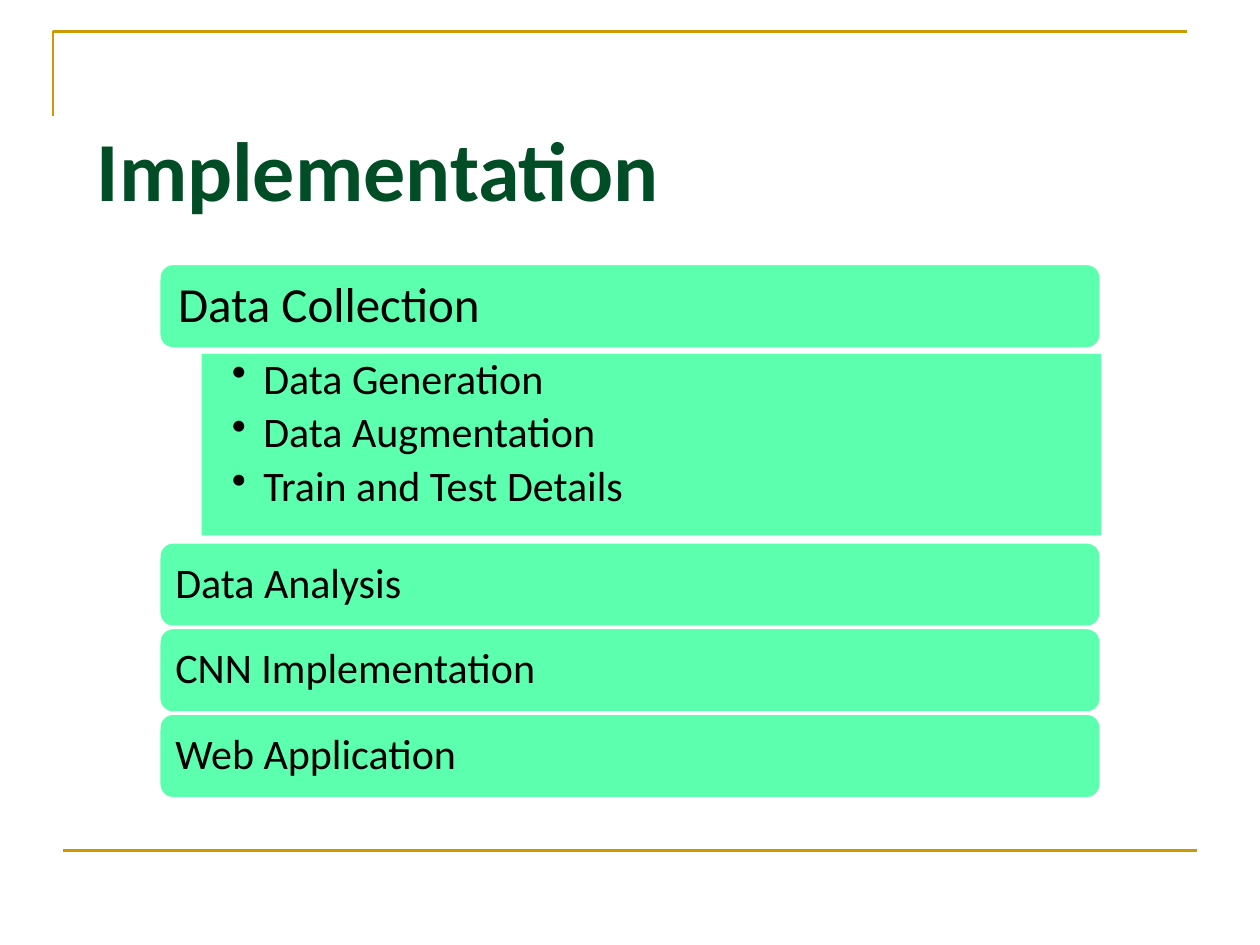
from dataclasses import dataclass

from lxml import etree
from pptx import Presentation
from pptx.dml.color import RGBColor
from pptx.enum import shapes, text
from pptx.oxml.ns import qn
from pptx.util import Inches, Pt


@dataclass(frozen=True)
class Theme:
    font: str = "Calibri"
    title_color: RGBColor = RGBColor(0x00, 0x4D, 0x26)
    body_color: RGBColor = RGBColor(0x00, 0x00, 0x00)
    panel: RGBColor = RGBColor(0x5C, 0xFF, 0xAD)
    edge: RGBColor = RGBColor(0xFF, 0xFF, 0xFF)
    rule: RGBColor = RGBColor(0xCC, 0x99, 0x00)
    title_size: int = 48
    lead_size: int = 28
    body_size: int = 24
    rule_width: float = 1.5
    edge_width: float = 2


@dataclass(frozen=True)
class Step:
    label: str
    top: float
    size: int
    inset: float


THEME = Theme()
BAR_LEFT, BAR_WIDTH, BAR_HEIGHT = 1.26, 7.48, 0.68
LATER_TOP = 4.3

STEPS = [Step("Data Collection", 2.09, THEME.lead_size, 0.12)] + [
    Step(label, LATER_TOP + i * BAR_HEIGHT, THEME.body_size, 0.1)
    for i, label in enumerate(
        ["Data Analysis", "CNN Implementation", "Web Application"])
]
COLLECTION_TASKS = ["Data Generation", "Data Augmentation", "Train and Test Details"]


def set_insets(frame, left: float, top: float, right: float, bottom: float) -> None:
    frame.word_wrap = True
    frame.margin_left, frame.margin_top = Inches(left), Inches(top)
    frame.margin_right, frame.margin_bottom = Inches(right), Inches(bottom)


def style(paragraph, size: int, color: RGBColor, bold: bool = False) -> None:
    paragraph.alignment = text.PP_ALIGN.LEFT
    font = paragraph.font
    font.name, font.size, font.bold = THEME.font, Pt(size), bold
    font.color.rgb = color


def add_bullet(paragraph, indent: float) -> None:
    props = paragraph._p.get_or_add_pPr()
    props.set("marL", str(Inches(indent)))
    props.set("indent", str(-Inches(indent)))
    etree.SubElement(props, qn("a:buChar")).set("char", "•")


def draw_frame_rules(slide) -> None:
    """Draw the corner bracket at the top and the rule at the bottom."""
    builder = slide.shapes.build_freeform(Inches(0.42), Inches(0.92))
    builder.add_line_segments(
        [(Inches(0.42), Inches(0.25)), (Inches(9.42), Inches(0.25))], close=False)
    bracket = builder.convert_to_shape()
    bracket.shadow.inherit = False
    bracket.fill.background()

    footer = slide.shapes.add_connector(
        shapes.MSO_CONNECTOR.STRAIGHT,
        Inches(0.5), Inches(6.75), Inches(9.5), Inches(6.75))
    etree.SubElement(footer._element.spPr, qn("a:effectLst"))

    for rule in (bracket, footer):
        rule.line.color.rgb = THEME.rule
        rule.line.width = Pt(THEME.rule_width)


def draw_title(slide, wording: str) -> None:
    title = slide.shapes.add_textbox(
        Inches(0.67), Inches(0.84), Inches(9), Inches(1.25))
    set_insets(title.text_frame, 0.1, 0.09, 0.1, 0.05)
    heading = title.text_frame.paragraphs[0]
    heading.text = wording
    style(heading, THEME.title_size, THEME.title_color, bold=True)


def add_panel(slide, preset, left: float, top: float, width: float, height: float):
    panel = slide.shapes.add_shape(
        preset, Inches(left), Inches(top), Inches(width), Inches(height))
    panel.shadow.inherit = False
    panel.fill.solid()
    panel.fill.fore_color.rgb = THEME.panel
    panel.line.fill.background()
    return panel


def draw_step(slide, step: Step) -> None:
    bar = add_panel(slide, shapes.MSO_SHAPE.ROUNDED_RECTANGLE,
                    BAR_LEFT, step.top, BAR_WIDTH, BAR_HEIGHT)
    bar.line.color.rgb = THEME.edge
    bar.line.width = Pt(THEME.edge_width)
    set_insets(bar.text_frame, *[step.inset] * 4)
    bar.text_frame.vertical_anchor = text.MSO_ANCHOR.MIDDLE
    label = bar.text_frame.paragraphs[0]
    label.text = step.label
    label.line_spacing = 0.9
    style(label, step.size, THEME.body_color)


def draw_tasks(slide, tasks: list[str]) -> None:
    panel = add_panel(slide, shapes.MSO_SHAPE.RECTANGLE, 1.6, 2.81, 7.14, 1.44)
    frame = panel.text_frame
    set_insets(frame, 0.24, 0.03, 0.19, 0.03)
    frame.vertical_anchor = text.MSO_ANCHOR.TOP
    for i, task in enumerate(tasks):
        item = frame.add_paragraph() if i else frame.paragraphs[0]
        item.text = task
        item.line_spacing = 0.9
        item.space_after = Pt(0.2 * THEME.body_size)
        add_bullet(item, 0.25)
        style(item, THEME.body_size, THEME.body_color)


def main() -> None:
    deck = Presentation()
    deck.slide_width, deck.slide_height = Inches(10), Inches(7.5)
    slide = deck.slides.add_slide(deck.slide_layouts[6])
    draw_frame_rules(slide)
    draw_title(slide, "Implementation")
    collection, *later_steps = STEPS
    draw_step(slide, collection)
    draw_tasks(slide, COLLECTION_TASKS)
    for step in later_steps:
        draw_step(slide, step)
    deck.save("out.pptx")


if __name__ == "__main__":
    main()
